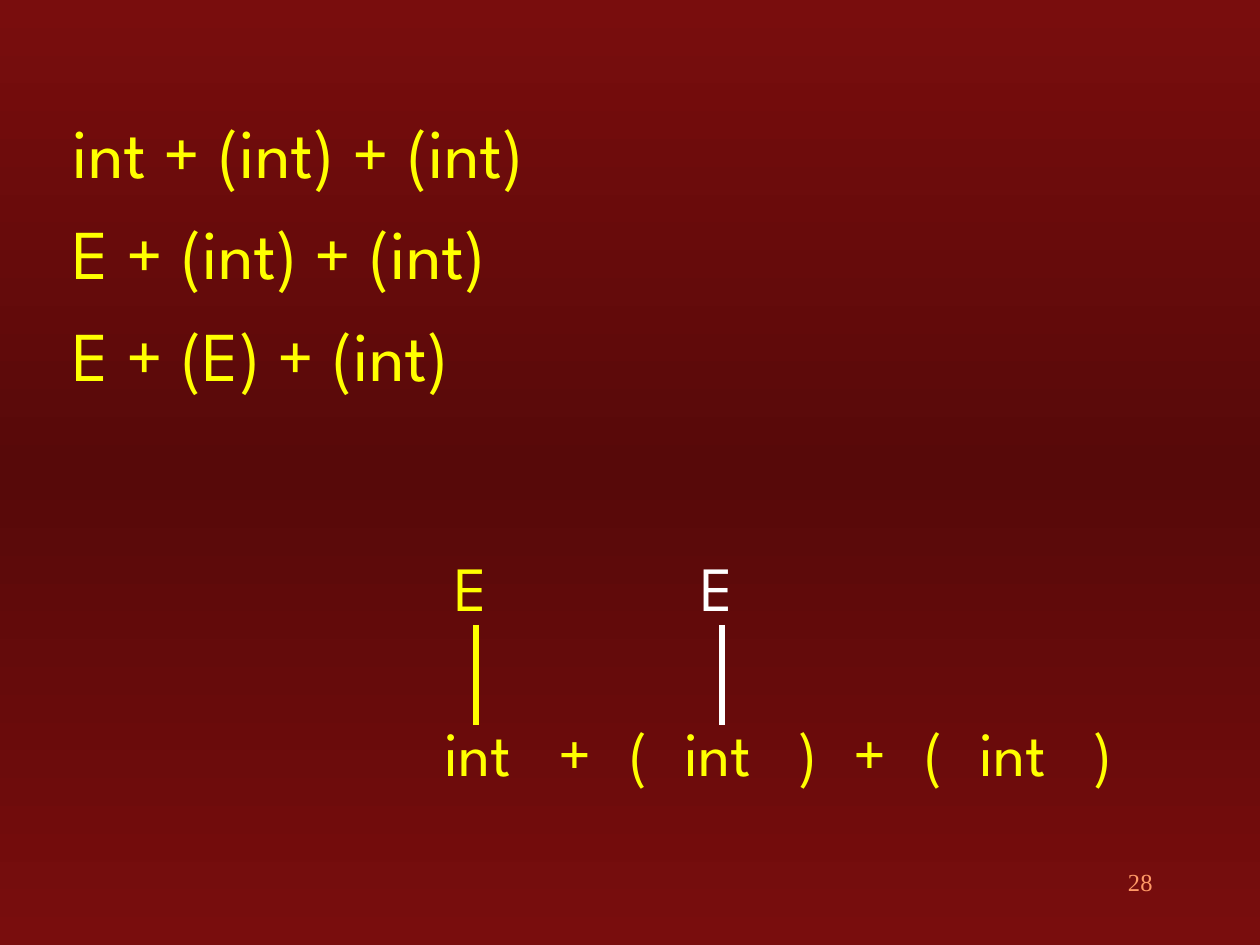
from copy import deepcopy

from lxml.etree import SubElement
from pptx import Presentation
from pptx.dml.color import RGBColor
from pptx.enum.shapes import MSO_CONNECTOR as CONNECTOR
from pptx.enum.text import MSO_AUTO_SIZE as AUTO_SIZE, PP_ALIGN as ALIGN
from pptx.oxml.ns import qn
from pptx.util import Emu, Pt

SCALE = 914400 / 126
COLORS = {
    "edge": "790D0D",
    "middle": "570909",
    "yellow": "FFFF00",
    "white": "FFFFFF",
    "orange": "FF9966",
}


def px(*lengths):
    return [Emu(round(length * SCALE)) for length in lengths]


def add_text(box, lines, size, color, font="League Spartan", wrap=False, align=ALIGN.LEFT, gap=0):
    shape = slide.shapes.add_textbox(*px(*box))
    frame = shape.text_frame
    frame.word_wrap = wrap
    frame.auto_size = AUTO_SIZE.NONE if wrap else AUTO_SIZE.SHAPE_TO_FIT_TEXT
    for index, line in enumerate(lines):
        paragraph = frame.paragraphs[0] if index == 0 else frame.add_paragraph()
        paragraph.alignment = align
        if index:
            paragraph.space_before = Pt(gap)
        run = paragraph.add_run()
        run.text = line
        for name, value in {"name": font, "size": Pt(size)}.items():
            setattr(run.font, name, value)
        run.font.color.rgb = RGBColor.from_string(COLORS[color])


presentation = Presentation()
presentation.slide_width, presentation.slide_height = px(1260, 945)
slide = presentation.slides.add_slide(presentation.slide_layouts[6])

background = slide.background.fill
background.gradient()
background.gradient_angle = 270
stop_list = slide.background._cSld.find(".//" + qn("a:gsLst"))
stop_list.append(deepcopy(stop_list[0]))
for stop, position, color in zip(background.gradient_stops, (0, 0.5, 1), ("edge", "middle", "edge")):
    stop.position = position
    stop.color.rgb = RGBColor.from_string(COLORS[color])

derivation = ["int + (int) + (int)", "E + (int) + (int)", "E + (E) + (int)"]
add_text((60, 102, 548, 606), derivation, 40, "yellow", wrap=True, gap=10)

token_widths = {"int": 103, "+": 60, "(": 44, ")": 44}
left = 432
for token in "int + ( int ) + ( int )".split():
    add_text((left, 707, token_widths[token], 88), [token], 36, "yellow")
    left += token_widths[token] + 11

for left, color in ((442, "yellow"), (688, "white")):
    add_text((left, 542, 60, 88), ["E"], 36, color)
    branch = slide.shapes.add_connector(CONNECTOR.STRAIGHT, *px(left + 34, 625, left + 34, 725))
    branch.line.width = Pt(3)
    branch.line.color.rgb = RGBColor.from_string(COLORS[color])
    SubElement(branch._element.spPr, qn("a:effectLst"))

add_text((903, 861, 262, 63), ["28"], 14, "orange", "Times New Roman", True, ALIGN.RIGHT)

presentation.save("out.pptx")
